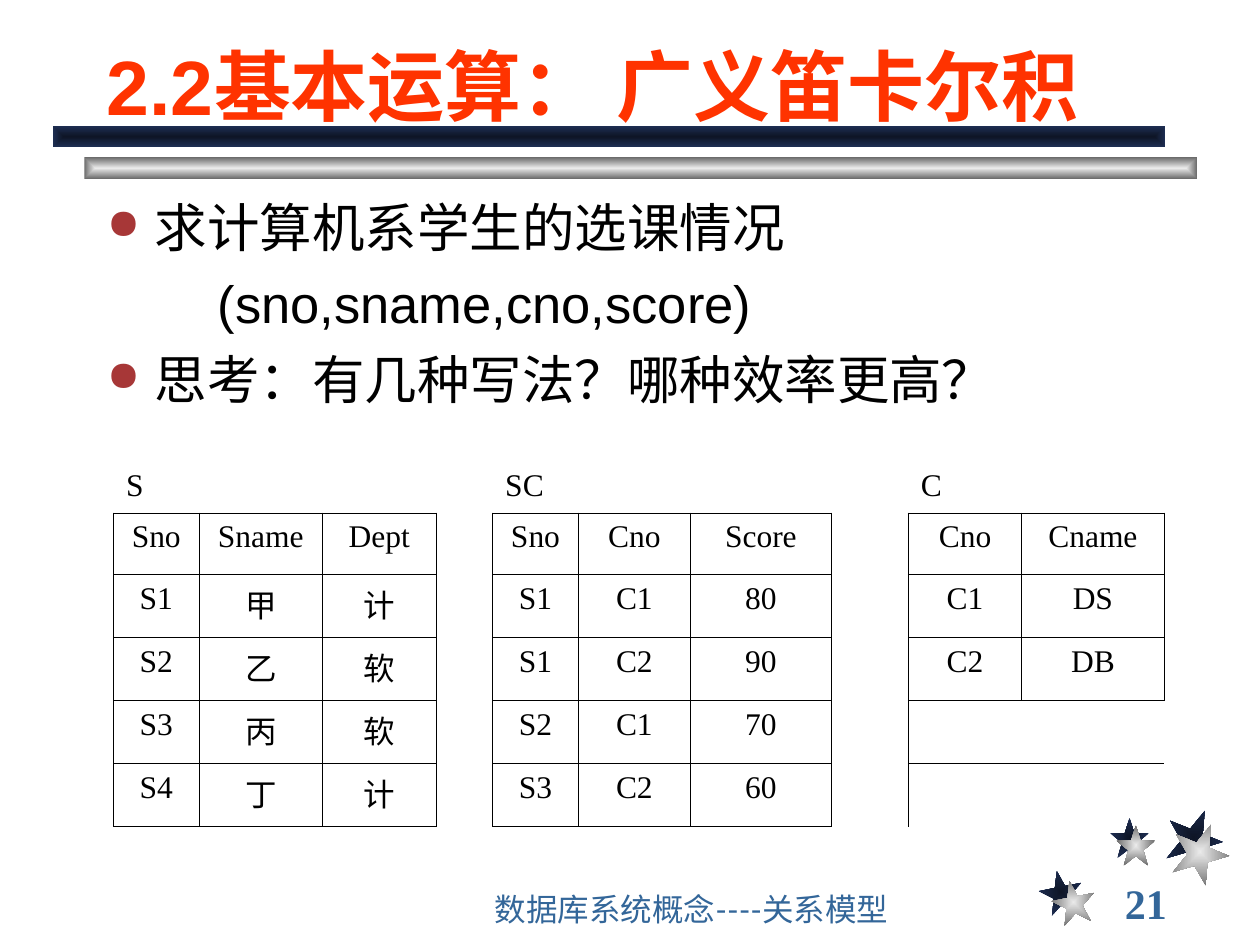
from lxml import etree
from pptx import Presentation
from pptx.dml.color import RGBColor
from pptx.enum.shapes import MSO_SHAPE
from pptx.enum.text import MSO_ANCHOR, PP_ALIGN
from pptx.oxml.ns import qn
from pptx.util import Inches, Pt

RECTANGLE = MSO_SHAPE.RECTANGLE
TOP, MIDDLE, BOTTOM = MSO_ANCHOR.TOP, MSO_ANCHOR.MIDDLE, MSO_ANCHOR.BOTTOM
LEFT, CENTER = PP_ALIGN.LEFT, PP_ALIGN.CENTER

BLACK = RGBColor(0x00, 0x00, 0x00)
ORANGE_RED = RGBColor(0xFF, 0x33, 0x00)
STEEL_BLUE = RGBColor(0x33, 0x66, 0x99)
BULLET_RED = RGBColor(0xA7, 0x37, 0x37)
NAVY = (RGBColor(0x0E, 0x15, 0x26), RGBColor(0x1E, 0x2E, 0x53))
SILVER = (RGBColor(0xEA, 0xEA, 0xEA), RGBColor(0x6C, 0x6C, 0x6C))

deck = Presentation()
deck.slide_width, deck.slide_height = Inches(10), Inches(7.5)
page = deck.slides.add_slide(deck.slide_layouts[6])


def shade(shape, colours):
    """Fill a shape with a rectangular gradient from its centre outwards."""
    shape.shadow.inherit = False
    shape.line.fill.background()
    shape.fill.gradient()
    for stop, colour, position in zip(shape.fill.gradient_stops, colours, (0, 1)):
        stop.color.rgb = colour
        stop.position = position
    gradient = shape._element.spPr.find(qn("a:gradFill"))
    gradient.remove(gradient.find(qn("a:lin")))
    spread = etree.SubElement(gradient, qn("a:path"))
    spread.set("path", "rect")
    centre = etree.SubElement(spread, qn("a:fillToRect"))
    for side in "ltrb":
        centre.set(side, "50000")


def add_text(left, top, width, height, lines, font, size, colour,
             bold=False, anchor=TOP, wrap=True):
    """Add a text box with one paragraph for each line."""
    box = page.shapes.add_textbox(Inches(left), Inches(top), Inches(width), Inches(height))
    frame = box.text_frame
    frame.word_wrap = wrap
    frame.vertical_anchor = anchor
    frame.text = "\n".join(lines)
    for para in frame.paragraphs:
        for span in para.runs:
            span.font.name, span.font.size, span.font.bold = font, Pt(size), bold
            span.font.color.rgb = colour
    return frame


# Corner stars: left, top, width, height, rotation, colours
STAR = [(0, 0.38), (0.38, 0.38), (0.5, 0), (0.62, 0.38), (1, 0.38),
        (0.69, 0.62), (0.81, 1), (0.5, 0.76), (0.19, 1), (0.31, 0.62)]
stars = [
    (8.25, 6.91, 0.34, 0.34, -11, NAVY),
    (8.81, 6.49, 0.31, 0.32, 0, NAVY),
    (9.25, 6.42, 0.45, 0.46, 22, NAVY),
    (8.35, 6.99, 0.34, 0.34, -11, SILVER),
    (8.86, 6.55, 0.31, 0.32, 0, SILVER),
    (9.3, 6.53, 0.45, 0.46, 22, SILVER),
]
for left, top, width, height, rotation, colours in stars:
    points = [(Inches(left + x * width), Inches(top + y * height)) for x, y in STAR]
    outline = page.shapes.build_freeform(*points[0])
    outline.add_line_segments(points[1:], close=True)
    star = outline.convert_to_shape()
    star.rotation = rotation
    shade(star, colours)

# Bars under the title
for left, top, colours in [(0.67, 1.25, SILVER), (0.42, 1, NAVY)]:
    bar = page.shapes.add_shape(RECTANGLE, Inches(left), Inches(top), Inches(8.83), Inches(0.17))
    shade(bar, colours)

# Page number, footer and title
add_text(8.83, 7, 1.08, 0.33, ["21"], "Times New Roman", 24, STEEL_BLUE,
         bold=True, anchor=MIDDLE, wrap=False)
add_text(3.83, 7.08, 4.08, 0.33, ["数据库系统概念----关系模型"], "Lato", 18, STEEL_BLUE,
         anchor=BOTTOM)
add_text(0.75, 0.17, 8.5, 0.92, ["2.2基本运算： 广义笛卡尔积"], "Arial", 44, ORANGE_RED,
         bold=True, anchor=BOTTOM)

# Questions
questions = add_text(0.75, 1.5, 8.5, 2.25,
                     ["求计算机系学生的选课情况",
                      "\t\t(sno,sname,cno,score)",
                      "思考：有几种写法？哪种效率更高？"], "Arial", 30, BLACK)
for index, para in enumerate(questions.paragraphs):
    if index:
        para.space_before = Pt(7.5)
    settings = para._p.get_or_add_pPr()
    settings.set("marL", str(Inches(0.38)))
    settings.set("indent", str(-Inches(0.38)))
    if para.text.startswith("\t"):
        etree.SubElement(settings, qn("a:buNone"))
        tabs = etree.SubElement(settings, qn("a:tabLst"))
        for inch in range(8):
            etree.SubElement(tabs, qn("a:tab"), pos=str(Inches(inch)), algn="l")
    else:
        tint = etree.SubElement(settings, qn("a:buClr"))
        etree.SubElement(tint, qn("a:srgbClr"), val=str(BULLET_RED))
        etree.SubElement(settings, qn("a:buSzPct"), val="80000")
        etree.SubElement(settings, qn("a:buChar"), char="●")

# Relations S, SC and C, side by side in one table
relations = [
    (0, "S", [["Sno", "Sname", "Dept"], ["S1", "甲", "计"], ["S2", "乙", "软"],
              ["S3", "丙", "软"], ["S4", "丁", "计"]]),
    (4, "SC", [["Sno", "Cno", "Score"], ["S1", "C1", "80"], ["S1", "C2", "90"],
               ["S2", "C1", "70"], ["S3", "C2", "60"]]),
    (8, "C", [["Cno", "Cname"], ["C1", "DS"], ["C2", "DB"]]),
]
widths = [0.68, 0.98, 0.9, 0.45, 0.68, 0.89, 1.12, 0.61, 0.9, 1.13]
heights = [0.4, 0.49] + [0.5] * 4
holder = page.shapes.add_table(len(heights), len(widths), Inches(0.9), Inches(3.67),
                               Inches(sum(widths)), Inches(sum(heights)))
table = holder.table
table.first_row = table.horz_banding = False
NO_STYLE = "{2D5ABB26-0587-4C30-8999-92F81FD0307C}"
table._tbl.tblPr.find(qn("a:tableStyleId")).text = NO_STYLE
for column, width in zip(table.columns, widths):
    column.width = Inches(width)
for row, height in zip(table.rows, heights):
    row.height = Inches(height)

texts = {}
for first, name, records in relations:
    texts[0, first] = name
    for r, record in enumerate(records, 1):
        for c, value in enumerate(record, first):
            texts[r, c] = value
gridded = {place for place in texts if place[0] > 0}

SIDES = {"a:lnL": (0, -1), "a:lnR": (0, 1), "a:lnT": (-1, 0), "a:lnB": (1, 0)}
for r in range(len(heights)):
    for c in range(len(widths)):
        cell = table.cell(r, c)
        borders = cell._tc.get_or_add_tcPr()
        for tag, (down, across) in SIDES.items():
            if gridded & {(r, c), (r + down, c + across)}:
                edge = etree.SubElement(borders, qn(tag), w=str(Pt(0.45)))
                paint = etree.SubElement(edge, qn("a:solidFill"))
                etree.SubElement(paint, qn("a:srgbClr"), val=str(BLACK))
        cell.fill.background()
        if (r, c) in texts:
            cell.text = texts[r, c]
            para = cell.text_frame.paragraphs[0]
            para.alignment = CENTER if r else LEFT
            span = para.runs[0]
            span.font.name, span.font.size = "Times New Roman", Pt(18)
            span.font.color.rgb = BLACK

deck.save("out.pptx")
